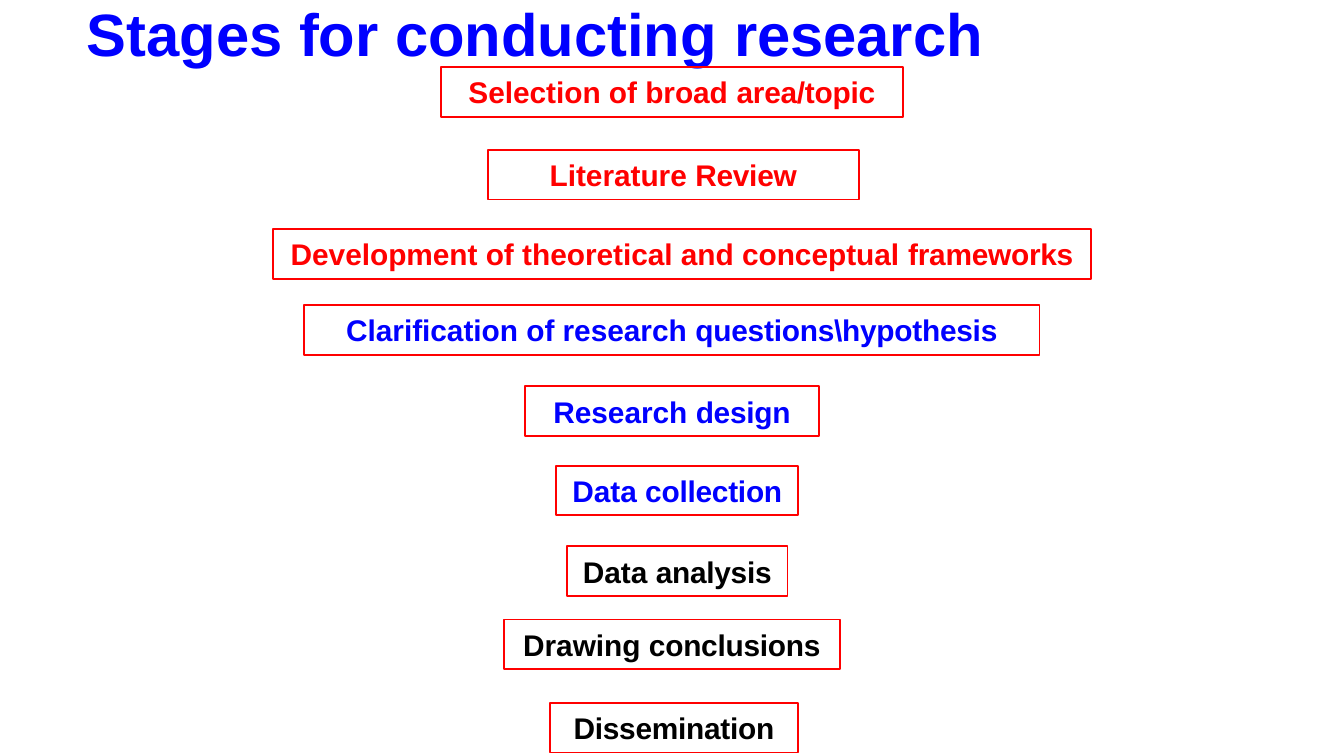
from dataclasses import dataclass

from pptx import Presentation
from pptx.dml.color import RGBColor
from pptx.enum.shapes import MSO_SHAPE
from pptx.enum.text import MSO_ANCHOR, MSO_AUTO_SIZE, PP_ALIGN
from pptx.util import Pt

RECT = MSO_SHAPE.RECTANGLE
TOP, MIDDLE = MSO_ANCHOR.TOP, MSO_ANCHOR.MIDDLE
LEFT, CENTER = PP_ALIGN.LEFT, PP_ALIGN.CENTER
NO_AUTOFIT = MSO_AUTO_SIZE.NONE
EMU_PER_PX = 4572  # 200 px to the inch
TITLE_ONLY = 5
BOX_HEIGHT = 74


@dataclass(frozen=True)
class Theme:
    font: str = "Arial"
    title_size: int = 32
    stage_size: int = 16
    line_width: int = 1
    tight_spacing: int = -10  # hundredths of a point
    red: RGBColor = RGBColor(255, 0, 0)
    blue: RGBColor = RGBColor(0, 0, 255)
    black: RGBColor = RGBColor(0, 0, 0)


THEME = Theme()

# text, colour, left, top, width
STAGES = [
    ("Selection of broad area/topic", THEME.red, 656, 100, 688),
    ("Literature Review", THEME.red, 726, 223, 552),
    ("Development of theoretical and conceptual frameworks", THEME.red, 406, 341, 1218),
    ("Clarification of research questions\\hypothesis", THEME.blue, 453, 454, 1094),
    ("Research design", THEME.blue, 781, 575, 438),
    ("Data collection", THEME.blue, 828, 693, 360),
    ("Data analysis", THEME.black, 844, 813, 328),
    ("Drawing conclusions", THEME.black, 750, 922, 500),
    ("Dissemination", THEME.black, 818, 1046, 370),
]


def px(*lengths):
    return [n * EMU_PER_PX for n in lengths]


def set_all(obj, values):
    for name, value in values.items():
        setattr(obj, name, value)


def add_run(p, text, size, color):
    r = p.add_run()
    r.text = text
    set_all(r.font, {"name": THEME.font, "size": Pt(size), "bold": True})
    r.font.color.rgb = color
    return r


def write(sp, text, size, color, align, anchor, margin_top=0):
    """Put one bold line into a shape, its last word set slightly tighter."""
    tf = sp.text_frame
    set_all(tf, {
        "word_wrap": True, "auto_size": NO_AUTOFIT, "vertical_anchor": anchor,
        "margin_left": 0, "margin_right": 0,
        "margin_top": margin_top * EMU_PER_PX, "margin_bottom": 0,
    })
    p = tf.paragraphs[0]
    set_all(p, {"alignment": align, "space_before": Pt(0), "line_spacing": 1.0})
    head, gap, last = text.rpartition(" ")
    if head:
        add_run(p, head + gap, size, color)
    r = add_run(p, last, size, color)
    r._r.get_or_add_rPr().set("spc", str(THEME.tight_spacing))


def add_title(s, text):
    sp = s.shapes.title
    set_all(sp, dict(zip(("left", "top", "width", "height"), px(129, -8, 1746, 112))))
    write(sp, text, THEME.title_size, THEME.blue, LEFT, TOP, margin_top=3)


def add_stage(s, text, color, left, top, width):
    sp = s.shapes.add_shape(RECT, *px(left, top, width, BOX_HEIGHT))
    sp.shadow.inherit = False
    sp.fill.background()
    sp.line.color.rgb = THEME.red
    sp.line.width = Pt(THEME.line_width)
    write(sp, text, THEME.stage_size, color, CENTER, MIDDLE)


def main():
    prs = Presentation()
    prs.slide_width, prs.slide_height = px(2000, 1125)
    s = prs.slides.add_slide(prs.slide_layouts[TITLE_ONLY])
    add_title(s, "Stages for conducting research")
    for stage in STAGES:
        add_stage(s, *stage)
    prs.save("out.pptx")


if __name__ == "__main__":
    main()
